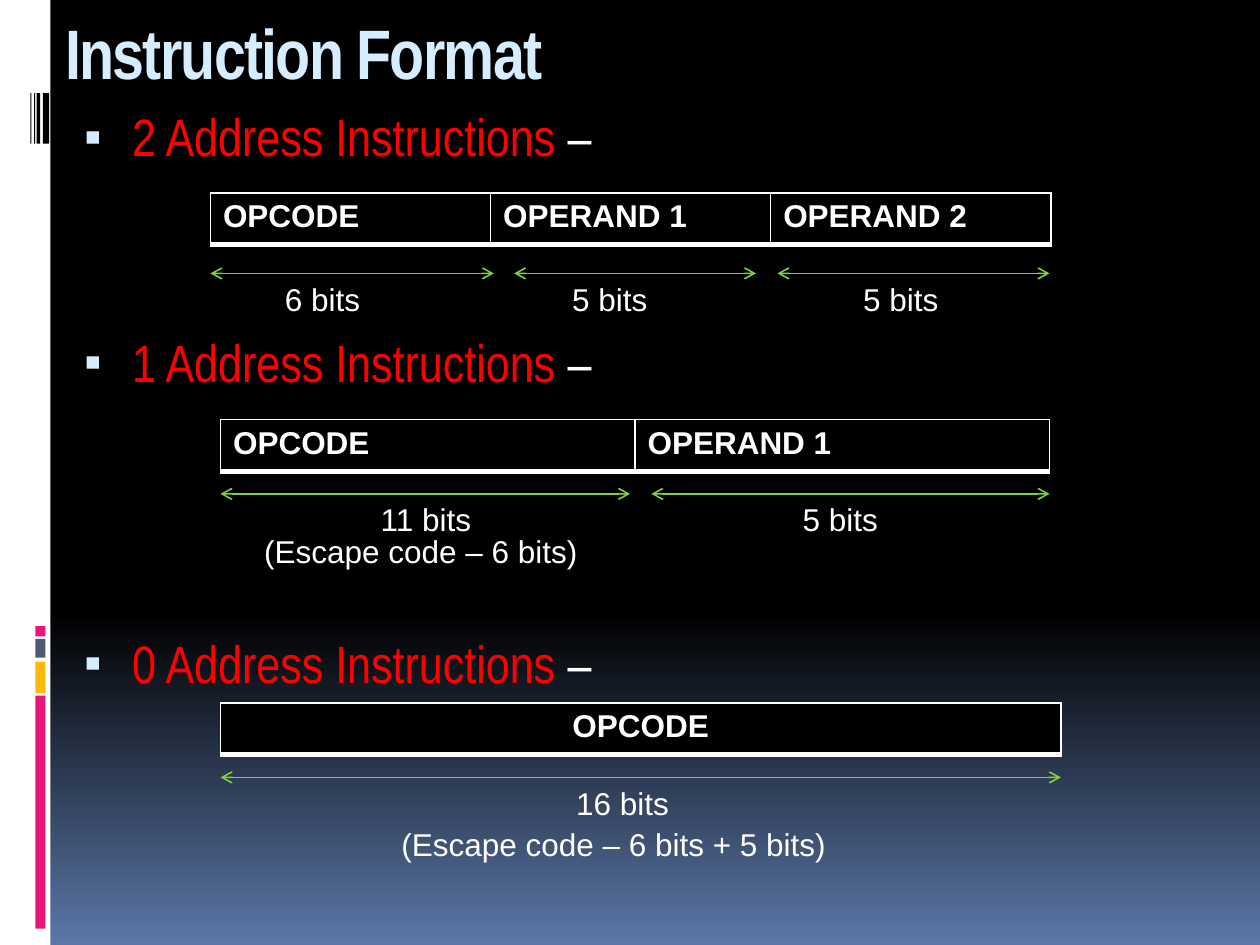
import copy

import lxml.etree
import pptx
import pptx.dml.color
import pptx.enum.shapes
import pptx.enum.text
import pptx.oxml.ns
import pptx.util

Inches, Pt = pptx.util.Inches, pptx.util.Pt
qn = pptx.oxml.ns.qn
ALIGN = pptx.enum.text.PP_ALIGN
COLORS = {
    "white": "FFFFFF", "black": "000000", "blue": "5B77A8", "pale": "D6ECFF",
    "red": "FF0000", "green": "7FD13B", "pink": "EA157A", "amber": "FEB80A",
    "slate": "4E5B6F",
}


def rgb(name):
    return pptx.dml.color.RGBColor.from_string(COLORS[name])


def child(parent, tag, **attributes):
    return lxml.etree.SubElement(parent, qn(tag), attributes)


def add_text(paragraph, text, *, size=18, font="Arial", color="white",
             bold=False, spacing=None):
    run = paragraph.add_run()
    run.text = text
    run.font.size, run.font.name, run.font.bold = Pt(size), font, bold
    run.font.color.rgb = rgb(color)
    if spacing is not None:
        run.font._element.set("spc", str(spacing))


class FormatSlide:
    heading_font = "Arial Narrow"

    def __init__(self, presentation):
        self.slide = presentation.slides.add_slide(presentation.slide_layouts[6])
        self.shapes = self.slide.shapes

    def background(self, stops):
        fill = self.slide.background.fill
        fill.gradient()
        fill.gradient_angle = 270
        stop_list = next(self.slide.element.iter(qn("a:gsLst")))
        stop_list.append(copy.deepcopy(stop_list[-1]))
        for stop, (position, color) in zip(fill.gradient_stops, stops):
            stop.position = position
            stop.color.rgb = rgb(color)

    def block(self, left, top, width, height, color):
        block = self.shapes.add_shape(
            pptx.enum.shapes.MSO_SHAPE.RECTANGLE,
            Inches(left), Inches(top), Inches(width), Inches(height))
        block.shadow.inherit = False
        block.fill.solid()
        block.fill.fore_color.rgb = rgb(color)
        block.line.fill.background()

    def text_frame(self, left, top, width, height):
        frame = self.shapes.add_textbox(
            Inches(left), Inches(top), Inches(width), Inches(height)).text_frame
        frame.word_wrap = True
        return frame

    def title(self, text):
        frame = self.text_frame(0.42, 0.03, 8.5, 1)
        add_text(frame.paragraphs[0], text, size=40, font=self.heading_font,
                 color="pale", bold=True, spacing=-100)

    def headings(self, items):
        frame = self.text_frame(0.5, 0.78, 9.25, 6.55)
        for index, (text, space_before) in enumerate(items):
            paragraph = frame.add_paragraph() if index else frame.paragraphs[0]
            paragraph.space_before = Pt(space_before)
            properties = paragraph._p.get_or_add_pPr()
            properties.set("marL", str(Inches(0.45)))
            properties.set("indent", str(Inches(-0.38)))
            child(child(properties, "a:buClr"), "a:srgbClr", val=COLORS["pale"])
            child(properties, "a:buSzPct", val="95000")
            child(properties, "a:buFont", typeface="Arial")
            child(properties, "a:buChar", char="▪")
            add_text(paragraph, text, size=30, font=self.heading_font, color="red")
            add_text(paragraph, " –", size=30, font=self.heading_font)

    def fields(self, left, top, width, names):
        table_frame = self.shapes.add_table(
            1, len(names), Inches(left), Inches(top), Inches(width), Inches(0.41))
        table = table_frame.table
        for column, name in enumerate(names):
            table.columns[column].width = Inches(width / len(names))
            cell = table.cell(0, column)
            cell.fill.solid()
            cell.fill.fore_color.rgb = rgb("black")
            paragraph = cell.text_frame.paragraphs[0]
            paragraph.alignment = ALIGN.CENTER if len(names) == 1 else ALIGN.LEFT
            add_text(paragraph, name, bold=True)
            self.cell_borders(cell)

    def cell_borders(self, cell):
        properties = cell._tc.get_or_add_tcPr()
        for index, (side, points) in enumerate(
                [("L", 1), ("R", 1), ("T", 1), ("B", 3)]):
            border = child(properties, f"a:ln{side}", w=str(Pt(points)))
            child(child(border, "a:solidFill"), "a:srgbClr", val=COLORS["white"])
            properties.insert(index, border)

    def arrow(self, start, end, y):
        arrow = self.shapes.add_connector(
            pptx.enum.shapes.MSO_CONNECTOR.STRAIGHT,
            Inches(start), Inches(y), Inches(end), Inches(y))
        arrow.line.color.rgb = rgb("green")
        arrow.line.width = Pt(0.94)
        line = arrow.line._get_or_add_ln()
        child(line, "a:headEnd", type="arrow")
        child(line, "a:tailEnd", type="arrow")
        child(arrow._element.spPr, "a:effectLst")

    def label(self, text, center, top, width=1.5):
        frame = self.text_frame(center - width / 2, top, width, 0.4)
        frame.paragraphs[0].alignment = ALIGN.CENTER
        add_text(frame.paragraphs[0], text)


presentation = pptx.Presentation()
presentation.slide_width, presentation.slide_height = Inches(10), Inches(7.5)
page = FormatSlide(presentation)

# Background and side strip
page.background([(0, "black"), (0.65, "black"), (1, "blue")])
page.block(0, 0, 0.4, 7.5, "white")
for top, height, color in [(5.52, 1.85, "pink"), (5.25, 0.25, "amber"),
                           (5.07, 0.15, "slate"), (4.97, 0.08, "pink")]:
    page.block(0.28, top, 0.08, height, color)
for left, width in [(0.34, 0.05), (0.29, 0.03), (0.27, 0.01), (0.24, 0.01)]:
    page.block(left, 0.74, width, 0.4, "black")

# Title and headings
page.title("Instruction Format")
page.headings([("2 Address Instructions", 0), ("1 Address Instructions", 93),
               ("0 Address Instructions", 136)])

# Instruction layouts: table, then arrows as (start, end, label, label center)
layouts = [
    (1.67, 1.53, 6.67, ["OPCODE", "OPERAND 1", "OPERAND 2"], 2.17,
     [(1.67, 3.92, "6 bits", 2.56), (4.08, 6, "5 bits", 4.84),
      (6.17, 8.33, "5 bits", 7.15)]),
    (1.75, 3.33, 6.58, ["OPCODE", "OPERAND 1"], 3.92,
     [(1.75, 5, "11 bits", 3.38), (5.17, 8.33, "5 bits", 6.67)]),
    (1.75, 5.58, 6.67, ["OPCODE"], 6.17, [(1.75, 8.42, "16 bits", 4.94)]),
]
for left, top, width, names, arrow_y, spans in layouts:
    page.fields(left, top, width, names)
    for start, end, bits, center in spans:
        page.arrow(start, end, arrow_y)
        page.label(bits, center, arrow_y)

# Escape codes
page.label("(Escape code – 6 bits)", 3.34, 4.17, width=2.75)
page.label("(Escape code – 6 bits + 5 bits)", 4.87, 6.5, width=3.8)

presentation.save("out.pptx")
